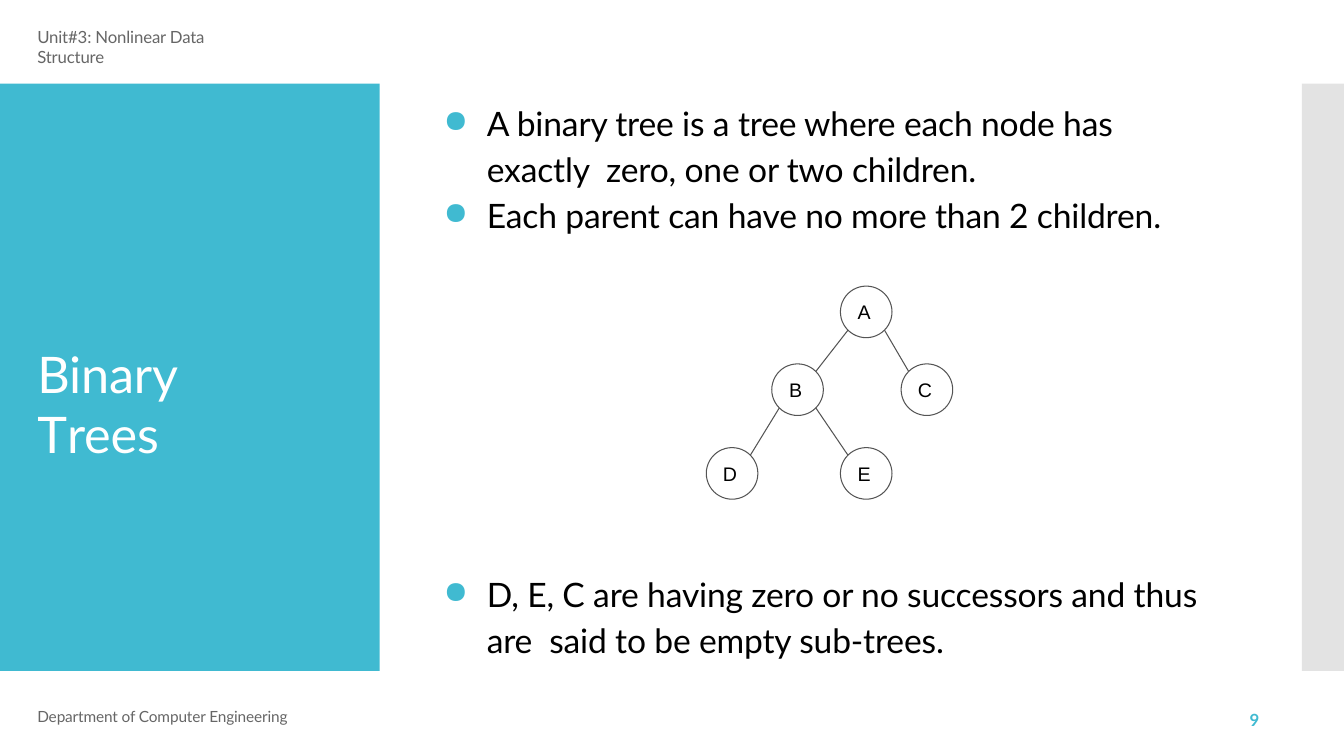
from lxml.etree import SubElement
from pptx import Presentation
from pptx.dml.color import RGBColor
from pptx.enum.shapes import MSO_CONNECTOR as Connector, MSO_SHAPE as Shape
from pptx.enum.text import MSO_ANCHOR as Anchor, PP_ALIGN as Align
from pptx.oxml.ns import qn
from pptx.util import Cm, Pt

TEAL = RGBColor(0x40, 0xBA, 0xD1)
GREY = RGBColor(0xC8, 0xC8, 0xC8)
DARK_GREY = RGBColor(0x66, 0x66, 0x66)
LINE_GREY = RGBColor(0x54, 0x54, 0x54)
WHITE = RGBColor(0xFF, 0xFF, 0xFF)
BLACK = RGBColor(0, 0, 0)


def add_run(paragraph, text, color, spacing=0, **font_format):
    run = paragraph.add_run()
    run.text = text
    run.font.color.rgb = color
    for name, value in font_format.items():
        setattr(run.font, name, value)
    if spacing:
        run.font._element.set("spc", str(spacing))


def add_text_frame(left, top, width, height, inset_top=0.03):
    box = slide.shapes.add_textbox(Cm(left), Cm(top), Cm(width), Cm(height))
    frame_format = dict(word_wrap=True, margin_left=0, margin_right=0,
                        margin_top=Cm(inset_top), margin_bottom=0)
    for name, value in frame_format.items():
        setattr(box.text_frame, name, value)
    return box.text_frame


presentation = Presentation()
presentation.slide_width = Cm(33.87)
presentation.slide_height = Cm(19.05)
slide = presentation.slides.add_slide(presentation.slide_layouts[6])

# Side panels
for left, width, color, alpha in [(0, 9.57, TEAL, 100), (32.81, 1.06, GREY, 50)]:
    panel = slide.shapes.add_shape(Shape.RECTANGLE, Cm(left), Cm(2.11), Cm(width), Cm(14.8))
    panel.shadow.inherit = False
    panel.line.fill.background()
    panel.fill.solid()
    panel.fill.fore_color.rgb = color
    if alpha < 100:
        color_element = panel._element.spPr.find(".//" + qn("a:srgbClr"))
        SubElement(color_element, qn("a:alpha"), val=str(alpha * 1000))

# Header, footer and page number
margin_texts = [
    ("Unit#3: Nonlinear Data Structure", 0.94, 0.64, 5.84, 0.58, 0.03, DARK_GREY, 12, None, False),
    ("Department of Computer Engineering", 0.94, 17.88, 6.32, 0.46, 0, DARK_GREY, 11, 11.4, False),
    ("9", 31.39, 17.96, 0.66, 0.48, 0, TEAL, 12, 12.3, True),
]
for text, left, top, width, height, inset, color, size, line_height, bold in margin_texts:
    paragraph = add_text_frame(left, top, width, height, inset).paragraphs[0]
    if line_height:
        paragraph.line_spacing = Pt(line_height)
    else:
        paragraph.space_before = Pt(1)
    if bold:
        paragraph._p.get_or_add_pPr().set("marL", str(Cm(0.1)))
    add_run(paragraph, text, color, -10, size=Pt(size), name="Lato", bold=bold)

# Title
paragraph = add_text_frame(0.94, 8.61, 6.43, 1.6).paragraphs[0]
paragraph.space_before = Pt(1)
for text, spacing in [("Binary ", -10), ("T", -230), ("rees", -10)]:
    add_run(paragraph, text, WHITE, spacing, size=Pt(36), name="Lato")

# Bulleted statements: text, line spacing, space before
statements = [
    (11.13, 2.41, 18.67, 3.56, [
        ("A binary tree is a tree where each node has exactly  zero, one or two children.", 1.15, 1),
        ("Each parent can have no more than 2 children.", 1, 4.2)]),
    (11.13, 14.27, 19.23, 2.39, [
        ("D, E, C are having zero or no successors and thus are  said to be empty sub-trees.", 1.15, 1)]),
]
for left, top, width, height, bullets in statements:
    frame = add_text_frame(left, top, width, height)
    for index, (text, line_spacing, space_before) in enumerate(bullets):
        paragraph = frame.add_paragraph() if index else frame.paragraphs[0]
        paragraph.line_spacing = line_spacing
        paragraph.space_before = Pt(space_before)
        properties = paragraph._p.get_or_add_pPr()
        properties.set("marL", str(Cm(1.14)))
        properties.set("indent", str(Cm(-1.09)))
        bullet_color = SubElement(properties, qn("a:buClr"))
        SubElement(bullet_color, qn("a:srgbClr"), val=str(TEAL))
        SubElement(properties, qn("a:buSzPct"), val="92000")
        SubElement(properties, qn("a:buChar"), char="●")
        add_run(paragraph, text, BLACK, -10, size=Pt(24), name="Lato")

# Tree nodes, by centre
RADIUS = 0.65
nodes = {"A": (21.83, 7.86), "B": (20.1, 9.82), "C": (23.36, 9.82),
         "D": (18.45, 11.93), "E": (21.83, 11.93)}
for label, (x, y) in nodes.items():
    node = slide.shapes.add_shape(Shape.OVAL, Cm(x - RADIUS), Cm(y - RADIUS),
                                  Cm(2 * RADIUS), Cm(2 * RADIUS))
    node.shadow.inherit = False
    node.fill.background()
    node.line.color.rgb = LINE_GREY
    node.line.width = Pt(0.75)
    frame_format = dict(margin_left=0, margin_right=Cm(0.1), margin_top=0,
                        margin_bottom=0, vertical_anchor=Anchor.MIDDLE, word_wrap=False)
    for name, value in frame_format.items():
        setattr(node.text_frame, name, value)
    paragraph = node.text_frame.paragraphs[0]
    paragraph.alignment = Align.CENTER
    add_run(paragraph, label, BLACK, size=Pt(14), name="Arial")

# Tree edges, between the diagonal points of the circles
diagonal = RADIUS * 0.71
for parent, child in ["AB", "AC", "BD", "BE"]:
    (x1, y1), (x2, y2) = nodes[parent], nodes[child]
    shift = diagonal if x2 > x1 else -diagonal
    edge = slide.shapes.add_connector(Connector.STRAIGHT, Cm(x1 + shift), Cm(y1 + diagonal),
                                      Cm(x2 - shift), Cm(y2 - diagonal))
    edge.line.color.rgb = LINE_GREY
    edge.line.width = Pt(0.75)
    SubElement(edge._element.spPr, qn("a:effectLst"))

presentation.save("out.pptx")
